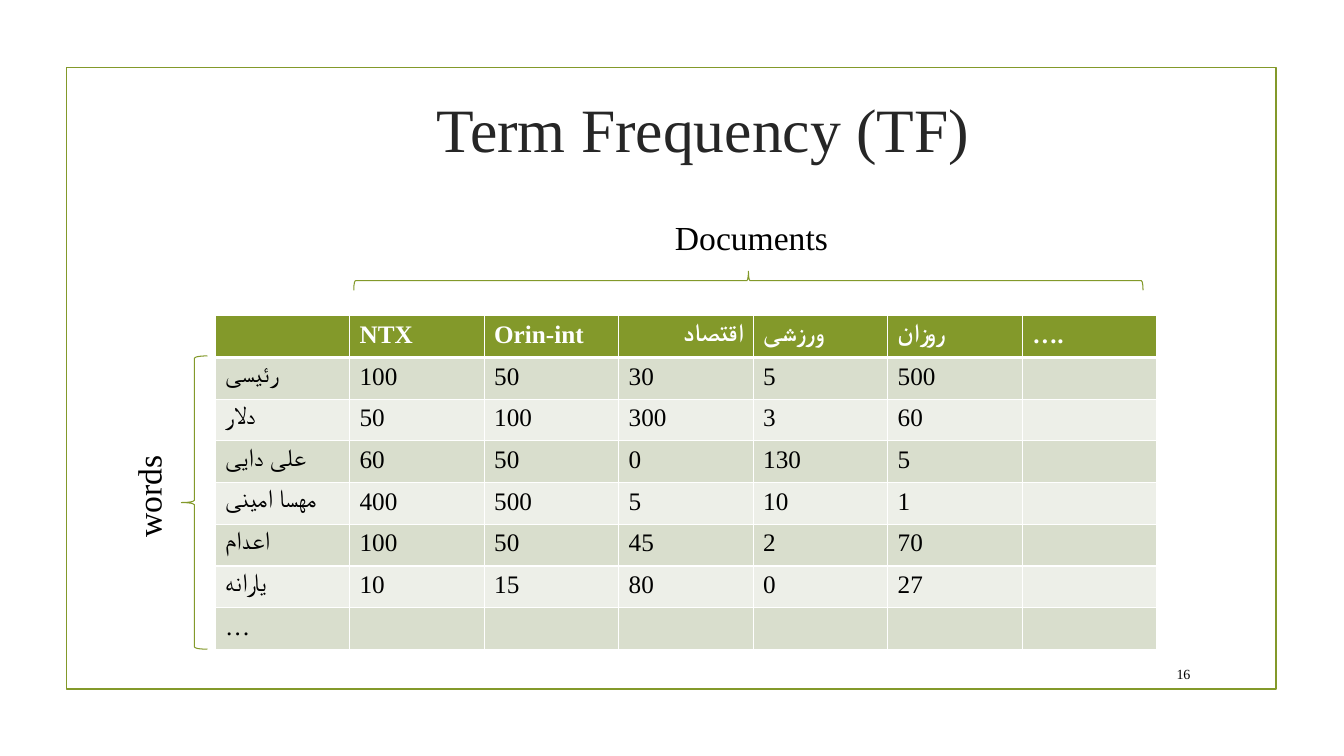
from dataclasses import dataclass

from lxml import etree
from pptx import Presentation
from pptx.dml.color import RGBColor
from pptx.enum.shapes import MSO_SHAPE
from pptx.enum.text import MSO_ANCHOR, PP_ALIGN
from pptx.oxml.ns import qn
from pptx.util import Cm, Pt

RECTANGLE, LEFT_BRACE = MSO_SHAPE.RECTANGLE, MSO_SHAPE.LEFT_BRACE
TOP, MIDDLE = MSO_ANCHOR.TOP, MSO_ANCHOR.MIDDLE
LEFT, CENTER, RIGHT = PP_ALIGN.LEFT, PP_ALIGN.CENTER, PP_ALIGN.RIGHT


@dataclass(frozen=True)
class Theme:
    font: str = "Times New Roman"
    green: str = "83992A"
    band_dark: str = "D9DECD"
    band_light: str = "EDEFE8"
    white: str = "FFFFFF"
    black: str = "000000"
    title_ink: str = "262626"
    title_size: int = 44
    label_size: int = 24
    cell_size: int = 18
    number_size: int = 10


theme = Theme()


def write(frame, text, size, color, align=LEFT, bold=False):
    """Fill a text frame with one formatted paragraph."""
    para = frame.paragraphs[0]
    para.text = text
    para.alignment = align
    for span in para.runs:
        span.font.name = theme.font
        span.font.size = Pt(size)
        span.font.bold = bold
        span.font.color.rgb = RGBColor.from_string(color)


def border(cell, side, width):
    """Draw one white cell border; sides are passed in schema order."""
    properties = cell._tc.get_or_add_tcPr()
    line = etree.Element(qn(f"a:ln{side}"), w=str(Pt(width)))
    fill = etree.SubElement(line, qn("a:solidFill"))
    etree.SubElement(fill, qn("a:srgbClr"), val=theme.white)
    properties.insert("LRTB".index(side), line)


deck = Presentation()
deck.slide_width, deck.slide_height = Cm(33.87), Cm(19.05)
page = deck.slides.add_slide(deck.slide_layouts[6])

# Frame and the two braces: shape, left, top, width, height, rotation, line
outlines = [
    (RECTANGLE, 1.68, 1.7, 30.48, 15.67, 0, 1.25),
    (LEFT_BRACE, 18.62, -2.87, 0.48, 19.89, 90, 0.75),
    (LEFT_BRACE, 4.57, 8.97, 0.66, 7.39, 0, 0.75),
]
for preset, left, top, width, height, rotation, weight in outlines:
    shape = page.shapes.add_shape(preset, Cm(left), Cm(top), Cm(width), Cm(height))
    shape.rotation = rotation
    shape.shadow.inherit = False
    shape.fill.background()
    shape.line.color.rgb = RGBColor.from_string(theme.green)
    shape.line.width = Pt(weight)

# Title, axis labels and page number
labels = [
    ("Term Frequency (TF)", 4.39, 1.4, 26.67, 3.63, 0,
     theme.title_size, theme.title_ink, CENTER, MIDDLE),
    ("Documents", 16.76, 5.33, 4.93, 1.27, 0,
     theme.label_size, theme.black, LEFT, TOP),
    ("words", 2.34, 11.76, 2.79, 1.27, 270,
     theme.label_size, theme.black, LEFT, TOP),
    ("16", 28.75, 16.59, 1.5, 0.79, 0,
     theme.number_size, theme.black, RIGHT, MIDDLE),
]
for text, left, top, width, height, rotation, size, color, align, anchor in labels:
    box = page.shapes.add_textbox(Cm(left), Cm(top), Cm(width), Cm(height))
    box.rotation = rotation
    box.text_frame.word_wrap = True
    box.text_frame.vertical_anchor = anchor
    write(box.text_frame, text, size, color, align)

# Word counts per document
counts = [
    ["", "NTX", "Orin-int", "اقتصاد", "ورزشی", "روزان", "…."],
    ["رئیسی", "100", "50", "30", "5", "500", ""],
    ["دلار", "50", "100", "300", "3", "60", ""],
    ["علی دایی", "60", "50", "0", "130", "5", ""],
    ["مهسا امینی", "400", "500", "5", "10", "1", ""],
    ["اعدام", "100", "50", "45", "2", "70", ""],
    ["یارانه", "10", "15", "80", "0", "27", ""],
    ["…", "", "", "", "", "", ""],
]
column_width, row_height = Cm(3.39), Cm(1.05)
row_count, column_count = len(counts), len(counts[0])
table = page.shapes.add_table(
    row_count, column_count, Cm(5.42), Cm(7.96),
    column_width * column_count, row_height * row_count,
).table
for column in table.columns:
    column.width = column_width
for row in table.rows:
    row.height = row_height

for row_index, values in enumerate(counts):
    header = row_index == 0
    band = theme.band_dark if row_index % 2 else theme.band_light
    for column_index, value in enumerate(values):
        cell = table.cell(row_index, column_index)
        cell.fill.solid()
        cell.fill.fore_color.rgb = RGBColor.from_string(theme.green if header else band)
        write(cell.text_frame, value, theme.cell_size,
              theme.white if header else theme.black,
              RIGHT if header and column_index == 3 else LEFT, header)
        # The rule below the header is thicker than the others
        border(cell, "L", 1)
        border(cell, "R", 1)
        border(cell, "T", 3 if row_index == 1 else 1)
        border(cell, "B", 3 if header else 1)

deck.save("out.pptx")
